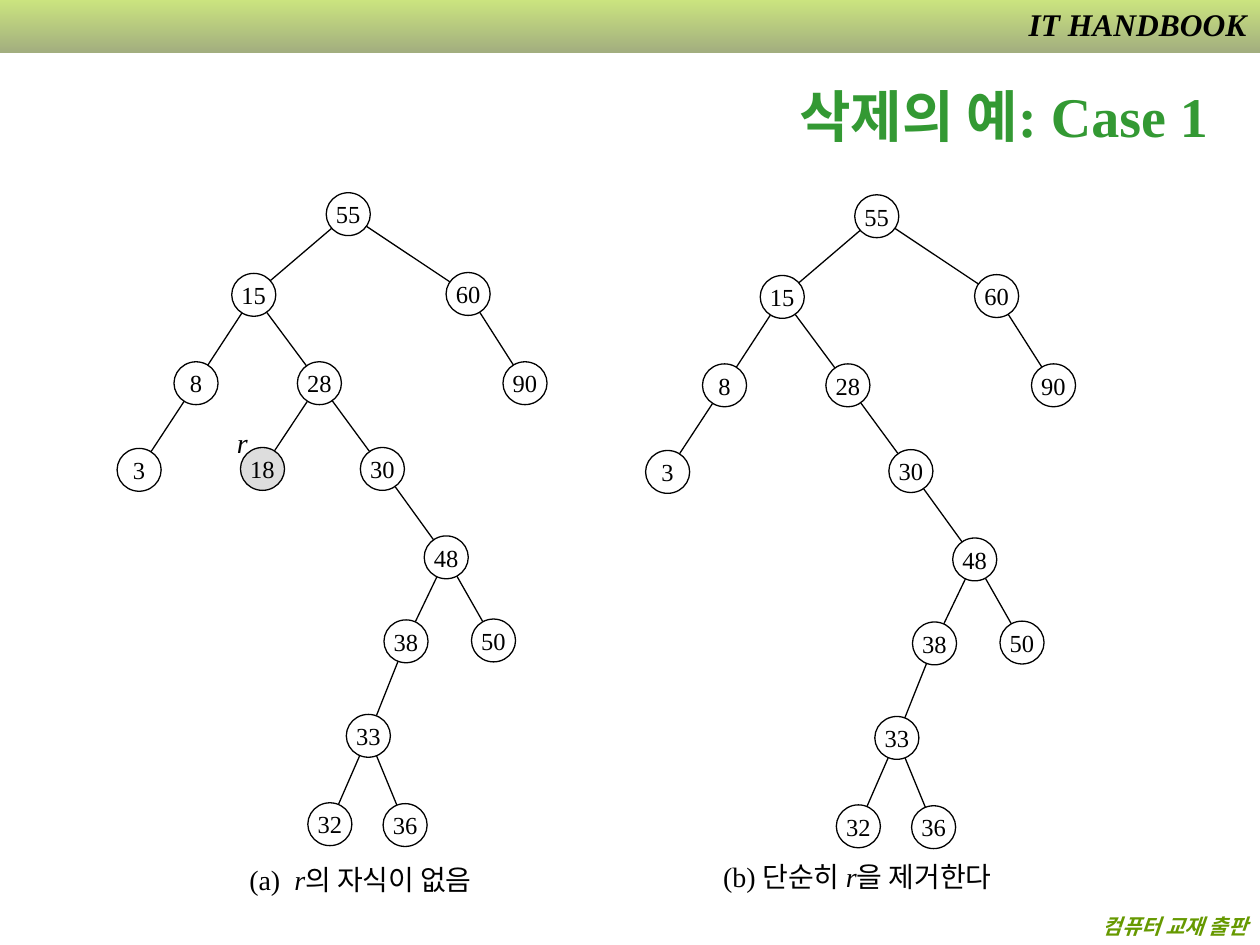
"""Builds a slide that shows a leaf being deleted from a binary search tree."""
from dataclasses import dataclass
from math import hypot

from pptx import Presentation
from pptx.dml.color import RGBColor
from pptx.enum.shapes import MSO_CONNECTOR as CONN, MSO_SHAPE as SHAPE
from pptx.enum.text import MSO_ANCHOR as ANCHOR, MSO_AUTO_SIZE as AUTO, PP_ALIGN as ALIGN
from pptx.oxml import parse_xml
from pptx.oxml.ns import nsdecls, qn
from pptx.oxml.xmlchemy import OxmlElement
from pptx.util import Pt

FONT = "Times New Roman"
NODE_W, NODE_H, RADIUS = 25.2, 24.5, 12.5
BLACK, WHITE = "000000", "FFFFFF"


@dataclass(frozen=True)
class Node:
    key: int
    x: float
    y: float
    parent: int | None = None


@dataclass(frozen=True)
class Tree:
    dx: float
    dy: float
    removed: bool


NODES = [
    Node(55, 199, 122.4),
    Node(15, 145, 168.5, 55), Node(60, 267.5, 168, 55),
    Node(8, 112, 219, 15), Node(28, 182.5, 219, 15), Node(90, 300, 219, 60),
    Node(3, 79.5, 268.5, 8), Node(18, 150, 268, 28), Node(30, 218.5, 268, 28),
    Node(48, 255, 318.5, 30),
    Node(38, 232, 366.5, 48), Node(50, 282, 366, 48),
    Node(33, 210.5, 420.5, 38),
    Node(32, 188.5, 471, 33), Node(36, 231.5, 471.5, 33),
]
BY_KEY = {n.key: n for n in NODES}
TARGET = 18
TREES = [Tree(0, 0, False), Tree(302, 1.2, True)]


def rgb(color: str) -> RGBColor:
    return RGBColor.from_string(color)


def add_run(p, text: str, size: float, color: str = BLACK,
            bold: bool = False, italic: bool = False):
    r = p.add_run()
    r.text = text
    f = r.font
    f.name, f.size, f.bold, f.italic = FONT, Pt(size), bold, italic
    f.color.rgb = rgb(color)
    return r


def add_box(s, x: float, y: float, w: float, h: float,
            align: ALIGN = ALIGN.LEFT, wrap: bool = False):
    tf = s.shapes.add_textbox(Pt(x), Pt(y), Pt(w), Pt(h)).text_frame
    tf.word_wrap = wrap
    p = tf.paragraphs[0]
    p.alignment = align
    return p


def add_banner(s) -> None:
    sp = s.shapes.add_shape(SHAPE.RECTANGLE, 0, 0, Pt(720), Pt(30.2))
    sp.shadow.inherit = False
    sp.line.fill.background()
    sp.fill.gradient()
    sp.fill.gradient_angle = 270
    for stop, color in zip(sp.fill.gradient_stops, ("99CC00", "475E00")):
        stop.color.rgb = rgb(color)
    for clr in sp.fill._xPr.iter(qn("a:srgbClr")):
        alpha = OxmlElement("a:alpha")
        alpha.set("val", "50000")
        clr.append(alpha)
    r = add_run(add_box(s, 567.4, -0.7, 152, 29, ALIGN.RIGHT, True),
                "IT HANDBOOK", 18, bold=True, italic=True)
    r.font.fill._xPr.find(qn("a:solidFill")).addnext(parse_xml(
        f'<a:effectLst {nsdecls("a")}><a:outerShdw dist="17961" dir="2700000">'
        f'<a:srgbClr val="{WHITE}"/></a:outerShdw></a:effectLst>'))


def add_edge(s, a: Node, b: Node, tree: Tree) -> None:
    k = RADIUS / hypot(b.x - a.x, b.y - a.y)
    ux, uy = (b.x - a.x) * k, (b.y - a.y) * k
    cx = s.shapes.add_connector(
        CONN.STRAIGHT, Pt(a.x + ux + tree.dx), Pt(a.y + uy + tree.dy),
        Pt(b.x - ux + tree.dx), Pt(b.y - uy + tree.dy))
    cx.line.color.rgb = rgb(BLACK)
    cx.line.width = Pt(0.75)
    cx._element.spPr.append(OxmlElement("a:effectLst"))


def add_node(s, n: Node, tree: Tree) -> None:
    sp = s.shapes.add_shape(
        SHAPE.OVAL, Pt(n.x - NODE_W / 2 + tree.dx), Pt(n.y - NODE_H / 2 + tree.dy),
        Pt(NODE_W), Pt(NODE_H))
    sp.shadow.inherit = False
    sp.fill.solid()
    sp.fill.fore_color.rgb = rgb("DDDDDD" if n.key == TARGET else WHITE)
    sp.line.color.rgb = rgb(BLACK)
    sp.line.width = Pt(0.75)
    tf = sp.text_frame
    tf.word_wrap = False
    tf.vertical_anchor = ANCHOR.MIDDLE
    p = tf.paragraphs[0]
    p.alignment = ALIGN.CENTER
    add_run(p, str(n.key), 14)


def add_tree(s, tree: Tree) -> None:
    nodes = [n for n in NODES if not (tree.removed and n.key == TARGET)]
    for n in nodes:
        if n.parent is not None:
            add_edge(s, BY_KEY[n.parent], n, tree)
    for n in nodes:
        add_node(s, n, tree)


def add_caption(s, x: float, y: float, w: float, before: str, after: str) -> None:
    p = add_box(s, x, y, w, 26.6)
    add_run(p, before, 16)
    add_run(p, "r", 16, italic=True)
    add_run(p, after, 16)


def set_title(s, text: str) -> None:
    sp = s.shapes.title
    sp.left, sp.top, sp.width, sp.height = Pt(431.3), Pt(34.6), Pt(284.4), Pt(62)
    tf = sp.text_frame
    tf.word_wrap = True
    tf.auto_size = AUTO.NONE
    tf.vertical_anchor = ANCHOR.MIDDLE
    p = tf.paragraphs[0]
    p.alignment = ALIGN.CENTER
    add_run(p, text, 32, "339933", bold=True)


def main() -> None:
    prs = Presentation()
    prs.slide_width, prs.slide_height = Pt(720), Pt(540)
    s = prs.slides.add_slide(prs.slide_layouts[5])
    set_title(s, "삭제의 예: Case 1")
    add_banner(s)
    add_run(add_box(s, 4.3, 518.4, 715.7, 21.6, ALIGN.RIGHT, True),
            "컴퓨터 교재 출판", 12, "669900", bold=True, italic=True)
    for tree in TREES:
        add_tree(s, tree)
    add_run(add_box(s, 128.2, 239.8, 20.2, 26.6), "r", 16, italic=True)
    add_caption(s, 135.4, 489.6, 146.9, "(a)  ", "의 자식이 없음")
    add_caption(s, 406.1, 487.4, 180.7, "(b) 단순히 ", "을 제거한다")
    prs.save("out.pptx")


if __name__ == "__main__":
    main()
